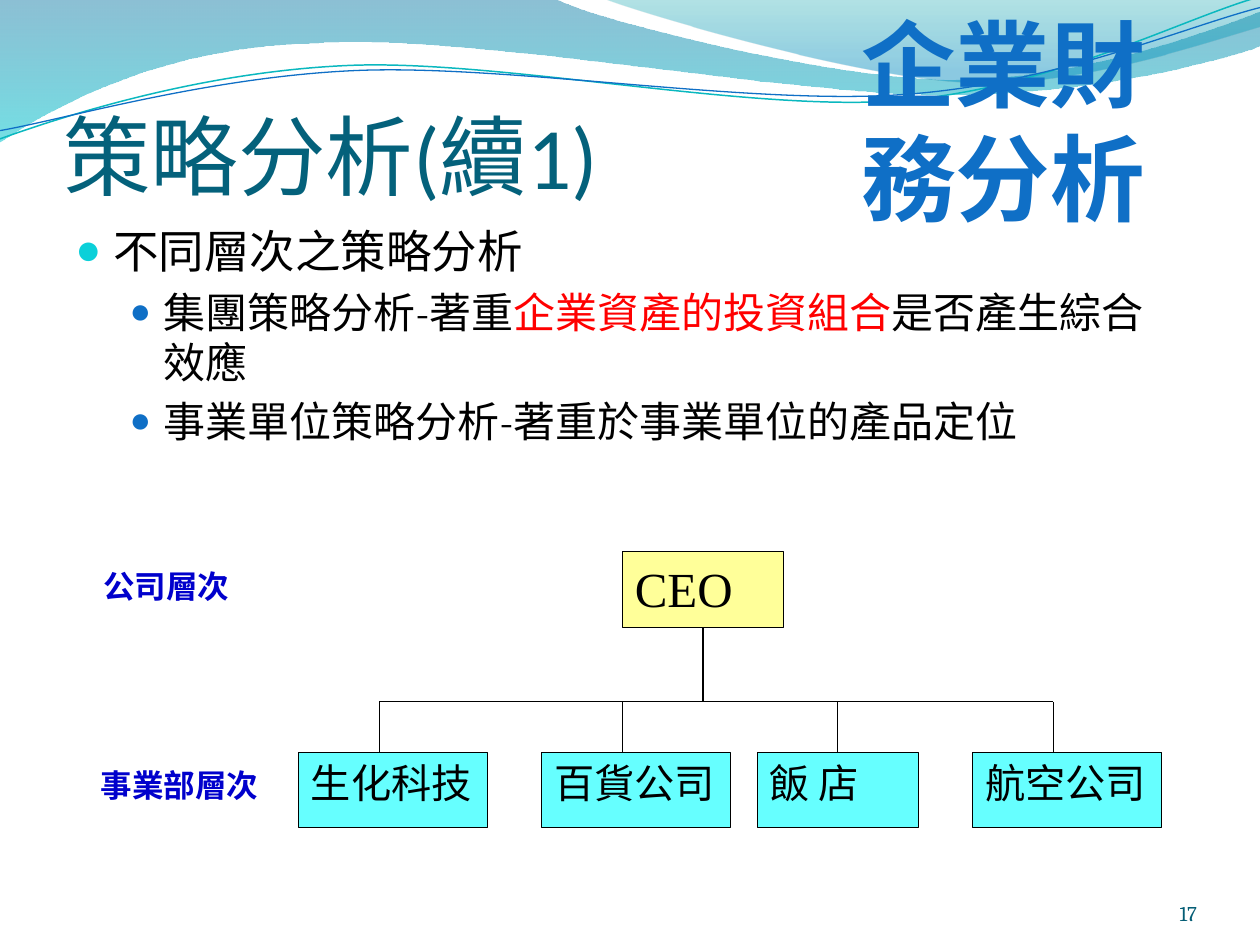
from lxml.etree import SubElement
from pptx import Presentation
from pptx.dml.color import RGBColor as RGB
from pptx.enum.shapes import MSO_CONNECTOR, MSO_SHAPE
from pptx.enum.text import MSO_ANCHOR as Anchor, PP_ALIGN as Align
from pptx.oxml.ns import qn
from pptx.util import Inches, Pt

BLACK, RED = RGB(0, 0, 0), RGB(255, 0, 0)
BLUE, TEAL, AQUA = RGB(15, 111, 198), RGB(10, 184, 191), RGB(11, 208, 217)
HEAD, FOOT, NAVY = RGB(4, 97, 123), RGB(4, 93, 117), RGB(0, 0, 204)
YELLOW, CYAN = RGB(255, 255, 153), RGB(102, 255, 255)
SERIF, ROMAN = "Cambria", "Times New Roman"

# Outlines: a start, then steps of 2 numbers (line) or 6 (cubic curve)
BANDS = [
    ([(0, 0), (4.4, -.01), (4.76, .17, 6.64, .63, 7.58, .63),
      (8.53, .63, 9.58, .26, 10, .09), (10.01, .36),
      (9.83, .44, 8.7, .76, 7.46, .75), (6.22, .75, 3.82, .28, 2.57, .34),
      (1.29, .36, .46, .83, -.01, 1.13)],
     [(0, RGB(0, 116, 161), 45), (1, RGB(0, 198, 207), 55)]),
    ([(4.79, -.01), (5.09, .11, 6.82, .62, 7.69, .65),
      (8.56, .69, 9.61, .32, 10, .21), (10, 0)],
     [(0, RGB(0, 161, 169), 30), (.8, RGB(0, 139, 191), 45)]),
]
WAVES = [
    ([(-.02, 1.11), (.48, .93, 1.58, .57, 2.77, .52),
      (3.95, .47, 5.93, .89, 7.13, .8), (8.33, .71, 9.38, .15, 9.98, -.02)],
     TEAL, .85),
    ([(-.02, 1.04), (.47, .96, 1.64, .61, 2.83, .56),
      (4.03, .51, 5.97, .84, 7.17, .75), (8.36, .67, 9.41, .21, 10, .06)],
     BLUE, .75),
]
POINTS = [
    (0, [("不同層次之策略分析", BLACK)]),
    (1, [("集團策略分析-著重", BLACK), ("企業資產的投資組合", RED),
         ("是否產生綜合效應", BLACK)]),
    (1, [("事業單位策略分析-著重於事業單位的產品定位", BLACK)]),
]
LEVELS = [  # size, indent, hang, bullet colour, bullet percent
    (26, .3, .3, AQUA, 95),
    (24, .7, .27, BLUE, 85),
]
UNITS = [("生化科技", 2.37, 1.5), ("百貨公司", 4.3, 1.5),
         ("飯 店", 6.01, 1.28), ("航空公司", 7.72, 1.5)]
LABELS = [("公司層次", .72, 4.45), ("事業部層次", .7, 6.03)]
BOX_W, BOX_H = 1.28, .6
CEO_X, CEO_Y, BUS_Y, UNIT_Y = 4.94, 4.38, 5.57, 5.97

deck = Presentation()
deck.slide_width, deck.slide_height = Inches(10), Inches(7.5)
slide = deck.slides.add_slide(deck.slide_layouts[5])
shapes = slide.shapes


def draw(steps, close):
    """Draw an outline, joining each curve's three points into one segment."""
    pts = [(round(step[i] * 100), round(step[i + 1] * 100))
           for step in steps for i in range(0, len(step), 2)]
    pen = shapes.build_freeform(*pts[0], scale=Inches(.01))
    pen.add_line_segments(pts[1:], close=close)
    shape = pen.convert_to_shape()
    shape.shadow.inherit = False
    lines = iter(list(shape._element.iter(qn("a:lnTo"))))
    for step in steps[1:]:
        first = next(lines)
        if len(step) == 6:
            first.tag = qn("a:cubicBezTo")
            for _ in range(2):
                extra = next(lines)
                first.append(extra[0])
                extra.getparent().remove(extra)
    return shape


def style(para, size, face, color, bold=False):
    font = para.font
    font.size, font.name, font.bold = Pt(size), face, bold
    font.color.rgb = color


def text(words, at, *look, align=Align.LEFT):
    box = shapes.add_textbox(*map(Inches, at))
    frame = box.text_frame
    frame.word_wrap = True
    para = frame.paragraphs[0]
    para.text, para.alignment = words, align
    style(para, *look)
    return frame


def block(words, at, fill, size):
    box = shapes.add_shape(MSO_SHAPE.RECTANGLE, *map(Inches, at))
    box.shadow.inherit = False
    box.fill.solid()
    box.fill.fore_color.rgb = fill
    box.line.color.rgb, box.line.width = BLACK, Pt(.75)
    frame = box.text_frame
    frame.vertical_anchor = Anchor.TOP
    para = frame.paragraphs[0]
    para.text, para.alignment = words, Align.LEFT
    style(para, size, ROMAN, BLACK)


def link(*ends):
    line = shapes.add_connector(MSO_CONNECTOR.STRAIGHT, *map(Inches, ends))
    line.line.color.rgb, line.line.width = BLACK, Pt(.75)
    SubElement(line._element.spPr, qn("a:effectLst"))


def bullet(para, indent, hang, color, share):
    props = para._p.get_or_add_pPr()
    props.set("marL", str(Inches(indent)))
    props.set("indent", str(-Inches(hang)))
    tint = SubElement(props, qn("a:buClr"))
    SubElement(tint, qn("a:srgbClr"), val=str(color))
    SubElement(props, qn("a:buSzPct"), val=str(share * 1000))
    SubElement(props, qn("a:buFont"), typeface=ROMAN)
    SubElement(props, qn("a:buChar"), char="●")


for steps, stops in BANDS:
    band = draw(steps, True)
    band.line.fill.background()
    band.fill.gradient()
    band.fill.gradient_angle = 270
    for stop, (place, color, alpha) in zip(band.fill.gradient_stops, stops):
        stop.position, stop.color.rgb = place, color
        tint = stop._gs.find(qn("a:srgbClr"))
        SubElement(tint, qn("a:alpha"), val=str(alpha * 1000))
for steps, color, width in WAVES:
    wave = draw(steps, False)
    wave.fill.background()
    wave.line.color.rgb, wave.line.width = color, Pt(width)

text("企業財務分析", (6.7, 0, 2.52, 1.9), 54, SERIF, BLUE, True,
     align=Align.CENTER)

title = shapes.title
title.left, title.top, title.width, title.height = map(
    Inches, (.5, .39, 9, 1.25))
frame = title.text_frame
frame.margin_left = frame.margin_right = frame.margin_bottom = 0
frame.vertical_anchor = Anchor.BOTTOM
para = frame.paragraphs[0]
para.text, para.alignment = "策略分析(續1)", Align.LEFT
style(para, 50, "Calibri", HEAD)

body = shapes.add_textbox(*map(Inches, (.5, 1.72, 9, 5.23))).text_frame
body.word_wrap = True
for i, (level, runs) in enumerate(POINTS):
    para = body.add_paragraph() if i else body.paragraphs[0]
    para.level = level
    size, *mark = LEVELS[level]
    bullet(para, *mark)
    para.space_before = Pt(5 if i else 0)
    style(para, size, SERIF, BLACK)
    for words, color in runs:
        run = para.add_run()
        run.text = words
        if color != BLACK:
            run.font.color.rgb = color

foot = text("17", (8.67, 6.95, .83, .4), 12, SERIF, FOOT, align=Align.RIGHT)
foot.margin_left = foot.margin_right = foot.margin_top = foot.margin_bottom = 0
foot.vertical_anchor = Anchor.BOTTOM

block("CEO", (CEO_X, CEO_Y, BOX_W, BOX_H), YELLOW, 28)
stems = [left + BOX_W / 2 for _, left, _ in UNITS]
mid = CEO_X + BOX_W / 2
link(mid, CEO_Y + BOX_H, mid, BUS_Y)
link(stems[0], BUS_Y, stems[-1], BUS_Y)
for (words, left, width), stem in zip(UNITS, stems):
    block(words, (left, UNIT_Y, width, BOX_H), CYAN, 23)
    link(stem, BUS_Y, stem, UNIT_Y)
for words, left, top in LABELS:
    text(words, (left, top, 2.8, .5), 18, ROMAN, NAVY, True)

deck.save("out.pptx")
